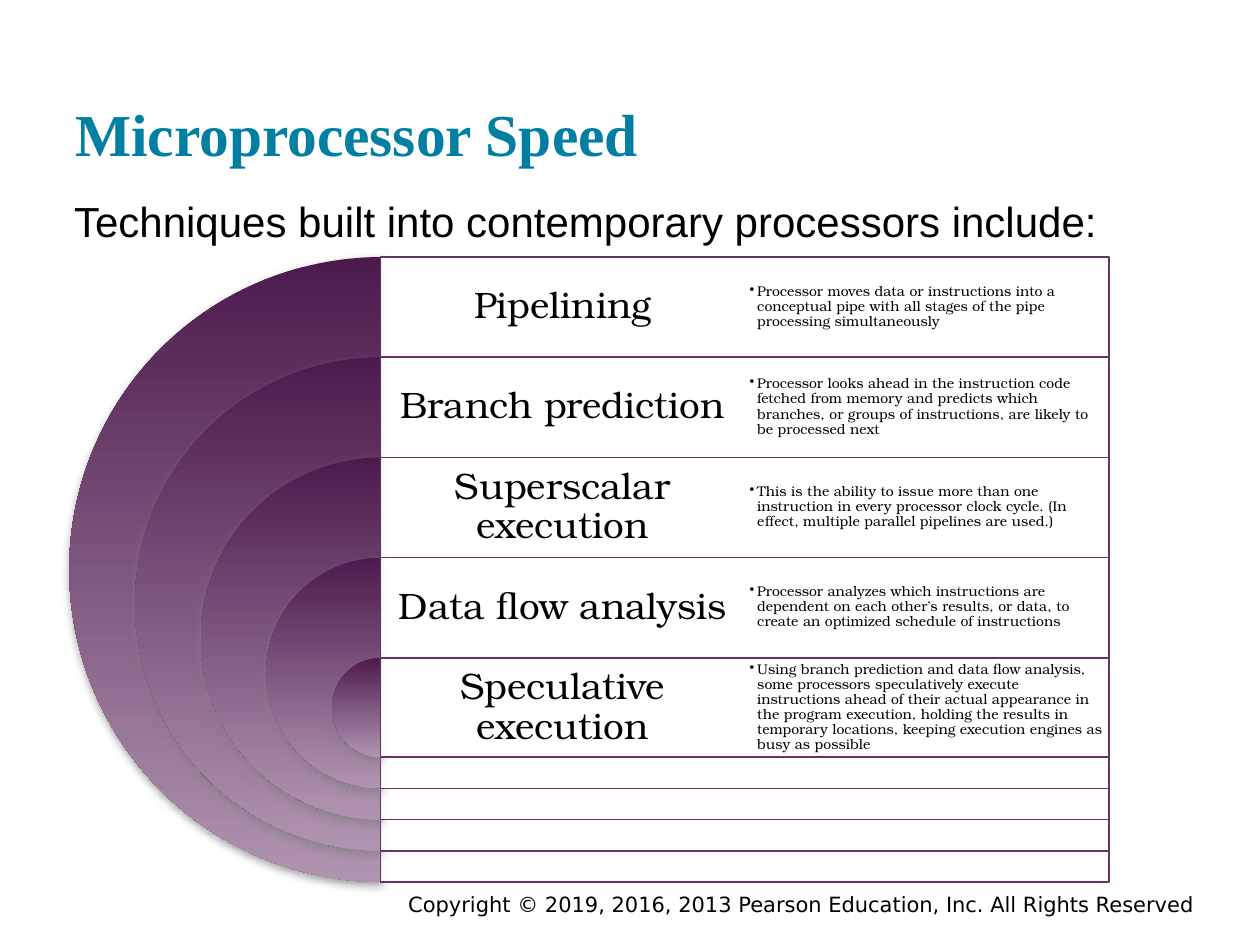
import pptx
import pptx.dml.color
import pptx.enum.shapes
import pptx.enum.text
import pptx.oxml
import pptx.oxml.ns
import pptx.util
from pptx.util import Inches

ALIGN = pptx.enum.text.PP_ALIGN
ANCHOR = pptx.enum.text.MSO_ANCHOR
SHAPE = pptx.enum.shapes.MSO_SHAPE

SERIF = "TeX Gyre Bonum"
TECHNIQUES = [
    ("Pipelining",
     "Processor moves data or instructions into a conceptual pipe with all "
     "stages of the pipe processing simultaneously"),
    ("Branch prediction",
     "Processor looks ahead in the instruction code fetched from memory and "
     "predicts which branches, or groups of instructions, are likely to be "
     "processed next"),
    ("Superscalar execution",
     "This is the ability to issue more than one instruction in every "
     "processor clock cycle. (In effect, multiple parallel pipelines are used.)"),
    ("Data flow analysis",
     "Processor analyzes which instructions are dependent on each other’s "
     "results, or data, to create an optimized schedule of instructions"),
    ("Speculative execution",
     "Using branch prediction and data flow analysis, some processors "
     "speculatively execute instructions ahead of their actual appearance in "
     "the program execution, holding the results in temporary locations, "
     "keeping execution engines as busy as possible"),
]

TOP = 2.04
CENTER = 3.02
ROW_HEIGHT = 0.79
ROW_STEP = 0.795
LARGEST = 4.96
SIZE_STEP = (LARGEST - ROW_HEIGHT) / (len(TECHNIQUES) - 1)
PANEL_WIDTH = 5.78
COLUMN_WIDTH = PANEL_WIDTH / 2


def rgb(value):
    return pptx.dml.color.RGBColor.from_string(value)


def drawing_xml(tag, content):
    """Parse one DrawingML element with the given content."""
    namespace = pptx.oxml.ns.nsdecls("a")
    return pptx.oxml.parse_xml(f"<a:{tag} {namespace}>{content}</a:{tag}>")


def add_text(page, text, at, font, size, color="000000", bold=False,
             align=ALIGN.LEFT, anchor=ANCHOR.TOP, insets=(0.1, 0.1),
             line_spacing=None):
    """Add a one-paragraph text box and return its paragraph."""
    box = page.shapes.add_textbox(*map(Inches, at))
    frame = box.text_frame
    frame.word_wrap = True
    frame.vertical_anchor = anchor
    frame.margin_left = frame.margin_right = Inches(insets[0])
    frame.margin_top = frame.margin_bottom = Inches(insets[1])
    frame.text = text
    para = frame.paragraphs[0]
    para.alignment = align
    para.line_spacing = line_spacing
    span = para.runs[0]
    span.font.name = font
    span.font.size = pptx.util.Pt(size)
    span.font.bold = bold
    span.font.color.rgb = rgb(color)
    return para


def set_indent(para, left, first):
    properties = para._p.get_or_add_pPr()
    properties.set("marL", str(Inches(left)))
    properties.set("indent", str(Inches(first)))
    return properties


def add_bullet(para):
    properties = set_indent(para, 0.06, -0.06)
    bullet = drawing_xml("buChar", "")
    bullet.set("char", "•")
    properties.append(bullet)


def add_half_disc(page, top, size):
    disc = page.shapes.add_shape(
        SHAPE.PIE, Inches(CENTER + 0.01 - size / 2), Inches(top),
        Inches(size), Inches(size))
    disc.adjustments[0] = 54
    disc.adjustments[1] = 162
    disc.line.fill.background()
    disc.fill.gradient()
    disc.fill.gradient_angle = 270
    for stop, position, color in zip(disc.fill.gradient_stops, (0, 1),
                                     ("4D1A4D", "AF94AF")):
        stop.position = position
        stop.color.rgb = rgb(color)
    blur, distance = pptx.util.Pt(5), pptx.util.Pt(2)
    disc._element.spPr.append(drawing_xml(
        "effectLst",
        f'<a:outerShdw blurRad="{blur}" dist="{distance}" dir="5400000" '
        'rotWithShape="0"><a:srgbClr val="808080"><a:alpha val="75000"/>'
        "</a:srgbClr></a:outerShdw>"))


def add_panel(page, top, height):
    panel = page.shapes.add_shape(
        SHAPE.RECTANGLE, Inches(CENTER), Inches(top),
        Inches(PANEL_WIDTH), Inches(height))
    panel.shadow.inherit = False
    panel.fill.solid()
    panel.fill.fore_color.rgb = rgb("FFFFFF")
    color = panel._element.spPr.find(".//" + pptx.oxml.ns.qn("a:srgbClr"))
    alpha = drawing_xml("alpha", "")
    alpha.set("val", "90000")
    color.append(alpha)
    panel.line.color.rgb = rgb("663366")
    panel.line.width = pptx.util.Pt(1)


def add_technique(page, index, name, description):
    top = TOP + index * ROW_STEP
    size = LARGEST - index * SIZE_STEP
    add_half_disc(page, top, size)
    add_panel(page, top, size)
    add_text(page, name, (CENTER, top, COLUMN_WIDTH, ROW_HEIGHT), SERIF, 21,
             align=ALIGN.CENTER, anchor=ANCHOR.MIDDLE, insets=(0.09, 0.09),
             line_spacing=0.9)
    para = add_text(
        page, description,
        (CENTER + COLUMN_WIDTH + 0.01, top, COLUMN_WIDTH, ROW_HEIGHT),
        SERIF, 8, anchor=ANCHOR.MIDDLE, insets=(0.03, 0.03), line_spacing=0.9)
    add_bullet(para)


def main():
    deck = pptx.Presentation()
    deck.slide_width = Inches(10)
    deck.slide_height = Inches(7.5)
    page = deck.slides.add_slide(deck.slide_layouts[6])

    add_text(page,
             "Copyright © 2019, 2016, 2013 Pearson Education, Inc. "
             "All Rights Reserved",
             (1.75, 7.03, 7.83, 0.22), "DejaVu Sans", 12,
             align=ALIGN.RIGHT, insets=(0.1, 0.05))
    add_text(page, "Microprocessor Speed", (0.5, 0.24, 9, 1.2),
             "Times New Roman", 34, color="007FA3", bold=True,
             anchor=ANCHOR.BOTTOM)
    intro = add_text(page,
                     "Techniques built into contemporary processors include:",
                     (0.38, 1.45, 9, 4.95), "Arial", 24)
    set_indent(intro, 0.28, -0.17)
    for index, (name, description) in enumerate(TECHNIQUES):
        add_technique(page, index, name, description)

    deck.save("out.pptx")


if __name__ == "__main__":
    main()
